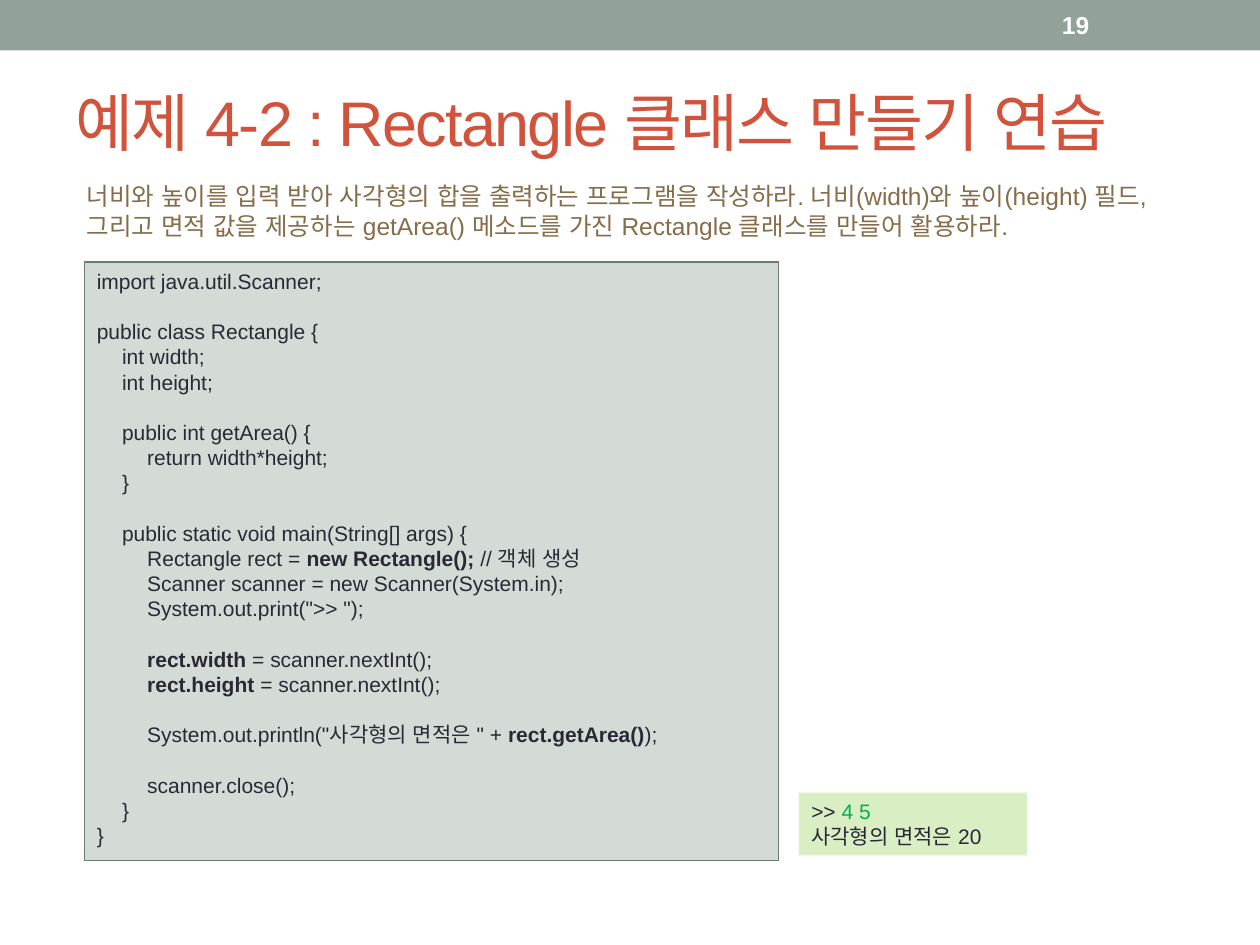
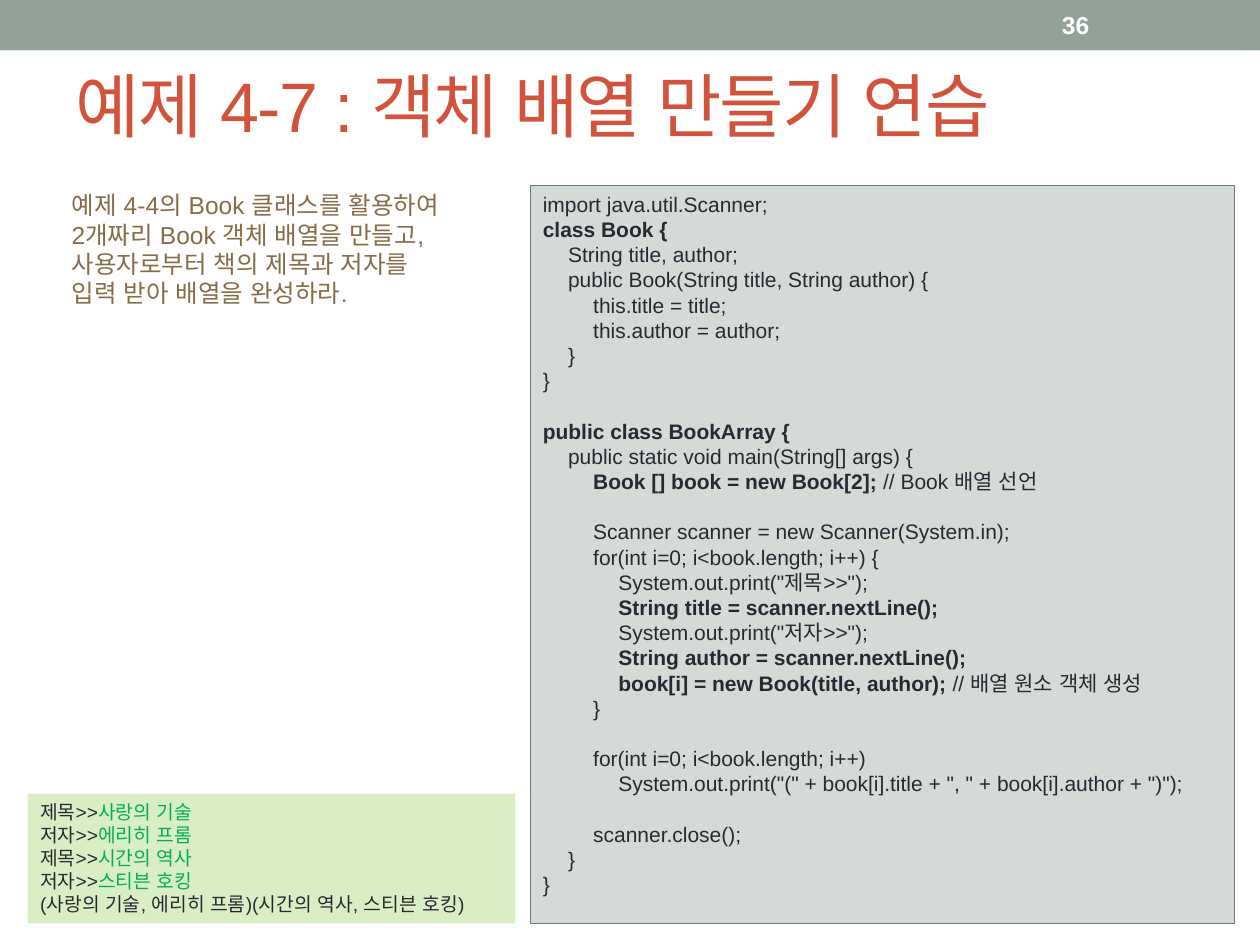
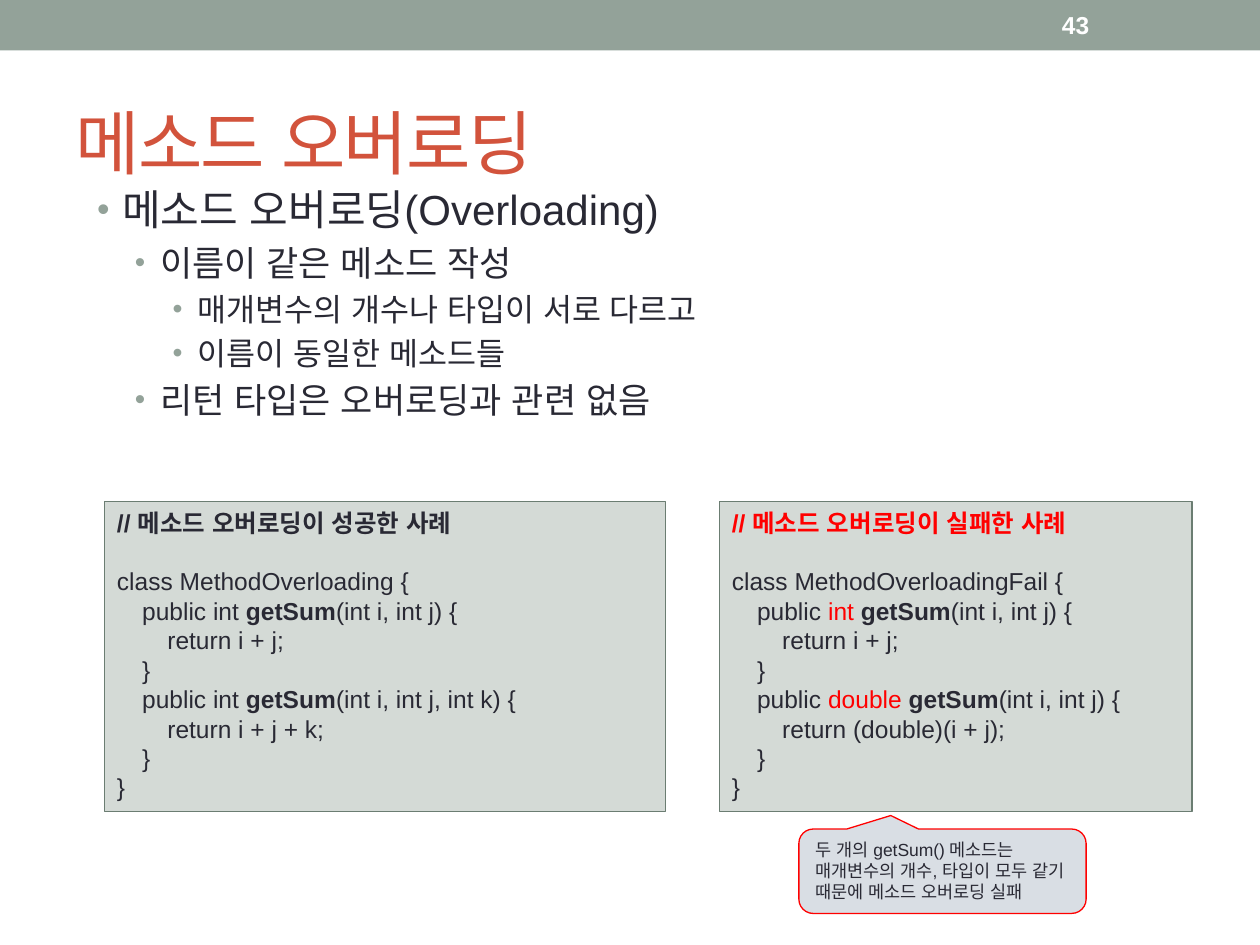
from lxml.etree import SubElement
from pptx import Presentation
from pptx.dml.color import RGBColor
from pptx.enum.lang import MSO_LANGUAGE_ID
from pptx.enum.shapes import MSO_SHAPE
from pptx.enum.text import MSO_ANCHOR, MSO_AUTO_SIZE, PP_ALIGN
from pptx.oxml.ns import qn
from pptx.util import Inches, Pt

COLORS = {
    "band": "93A299",
    "title": "D2533C",
    "white": "FFFFFF",
    "task": "866C49",
    "text": "292934",
    "code_fill": "D4DAD6",
    "code_line": "6B7D72",
    "output_fill": "DAEEC4",
    "input": "00B050",
    "red": "FF0000",
    "note_fill": "D9DEE4",
}
FONT = "Arial"
TAB_STEP = 0.2
TITLE_AND_CONTENT, TITLE_ONLY = 1, 5

# In the texts, |...| marks bold and ~...~ marks the accent colour.
RECTANGLE_CODE = """import java.util.Scanner;

public class Rectangle {
\tint width;
\tint height;

\tpublic int getArea() {
\t\treturn width*height;
\t}

\tpublic static void main(String[] args) {
\t\tRectangle rect = |new Rectangle();| // 객체 생성
\t\tScanner scanner = new Scanner(System.in);
\t\tSystem.out.print(">> ");

\t\t|rect.width| = scanner.nextInt();
\t\t|rect.height| = scanner.nextInt();

\t\tSystem.out.println("사각형의 면적은 " + |rect.getArea()|);

\t\tscanner.close();
\t}
}"""

BOOK_CODE = """import java.util.Scanner;
|class Book {|
\tString title, author;
\tpublic Book(String title, String author) {
\t\tthis.title = title;
\t\tthis.author = author;
\t}
}

|public class BookArray {|
\tpublic static void main(String[] args) {
\t\t|Book [] book = new Book[2]; |// Book 배열 선언

\t\tScanner scanner = new Scanner(System.in);
\t\tfor(int i=0; i<book.length; i++) {
\t\t\tSystem.out.print("제목>>");
\t\t\t|String title = scanner.nextLine();|
\t\t\tSystem.out.print("저자>>");
\t\t\t|String author = scanner.nextLine();|
\t\t\t|book[i] = new Book(title, author); |// 배열 원소 객체 생성
\t\t}

\t\tfor(int i=0; i<book.length; i++)
\t\t\tSystem.out.print("(" + book[i].title + ", " + book[i].author + ")");

\t\tscanner.close();
\t}
}"""

OVERLOADING_CODE = """|// 메소드 오버로딩이 성공한 사례|

class MethodOverloading {
\tpublic int |getSum|(int i, int j) {
\t\treturn i + j;
\t}
\tpublic int |getSum|(int i, int j, int k) {
\t\treturn i + j + k;
\t}
}"""

FAILING_CODE = """|~// 메소드 오버로딩이 실패한 사례~|

class MethodOverloadingFail {
\tpublic ~int ~|getSum|(int i, int j) {
\t\treturn i + j;
\t}
\tpublic ~double ~|getSum|(int i, int j) {
\t\treturn (double)(i + j);
\t}
}"""


def rgb(name):
    return RGBColor.from_string(COLORS[name])


class Deck:
    """Holds the style and the slide being built."""

    def __init__(self):
        self.presentation = Presentation()
        self.presentation.slide_width = Inches(10)
        self.presentation.slide_height = Inches(7.5)
        self.slide = None

    # Slide frame: band, number and title
    def add_slide(self, title, number, title_top, title_size=40, layout=TITLE_ONLY):
        layouts = self.presentation.slide_layouts
        self.slide = self.presentation.slides.add_slide(layouts[layout])
        self.box((0, 0, 10, 0.4), "band")
        number_frame = self.text((8.33, 0.02, 1.17, 0.36), f"|{number}|", 14, "white")
        number_frame.vertical_anchor = MSO_ANCHOR.MIDDLE

        placeholder = self.slide.shapes.title
        self.place(placeholder, (0.5, title_top, 9, 1.08))
        frame = placeholder.text_frame
        self.fill_text(frame, title, title_size, "title")
        frame.vertical_anchor = MSO_ANCHOR.MIDDLE
        for run in frame.paragraphs[0].runs:
            run.font._element.set("spc", "-100")

    def place(self, shape, area):
        shape.left, shape.top, shape.width, shape.height = map(Inches, area)

    # Text
    def style_run(self, run, size, color, bold=False):
        run.font.name = FONT
        run.font.size = Pt(size)
        run.font.bold = bold
        run.font.color.rgb = rgb(color)
        run.font.language_id = MSO_LANGUAGE_ID.KOREAN

    def add_runs(self, paragraph, line, size, color, accent):
        for bold_index, part in enumerate(line.split("|")):
            for accent_index, piece in enumerate(part.split("~")):
                if piece:
                    run = paragraph.add_run()
                    run.text = piece
                    run_color = accent if accent_index % 2 else color
                    self.style_run(run, size, run_color, bold_index % 2 == 1)
        if not line:
            SubElement(paragraph._p, qn("a:endParaRPr"), sz=str(size * 100))

    def fill_text(self, frame, text, size, color="text", accent="red"):
        frame.word_wrap = True
        frame.auto_size = MSO_AUTO_SIZE.NONE
        frame.vertical_anchor = MSO_ANCHOR.TOP
        for index, line in enumerate(text.split("\n")):
            paragraph = frame.add_paragraph() if index else frame.paragraphs[0]
            paragraph.alignment = PP_ALIGN.LEFT
            if "\t" in line:
                self.set_tabs(paragraph)
            self.add_runs(paragraph, line, size, color, accent)

    def set_tabs(self, paragraph):
        tabs = SubElement(paragraph._p.get_or_add_pPr(), qn("a:tabLst"))
        for step in range(1, 4):
            position = Inches(step * TAB_STEP)
            SubElement(tabs, qn("a:tab"), pos=str(position), algn="l")

    def text(self, area, text, size, color):
        frame = self.slide.shapes.add_textbox(*map(Inches, area)).text_frame
        self.fill_text(frame, text, size, color)
        return frame

    def bullets(self, area, items):
        placeholder = self.slide.placeholders[1]
        self.place(placeholder, area)
        frame = placeholder.text_frame
        frame.auto_size = MSO_AUTO_SIZE.NONE
        for index, (level, text) in enumerate(items):
            size = (24, 20, 18)[level]
            paragraph = frame.add_paragraph() if index else frame.paragraphs[0]
            paragraph.text = text
            paragraph.level = level
            paragraph.space_before = Pt(size * 0.2 if index else 0)
            properties = paragraph._p.get_or_add_pPr()
            properties.set("marL", str(Inches(0.2 + 0.3 * level)))
            properties.set("indent", str(Inches(-0.2)))
            bullet_color = SubElement(properties, qn("a:buClr"))
            SubElement(bullet_color, qn("a:srgbClr"), val=COLORS["band"])
            percent = (85, 85, 90)[level]
            SubElement(properties, qn("a:buSzPct"), val=str(percent * 1000))
            SubElement(properties, qn("a:buFont"), typeface=FONT)
            SubElement(properties, qn("a:buChar"), char="•")
            self.style_run(paragraph.runs[0], size, "text")

    # Boxes
    def box(self, area, fill, line=None, preset=MSO_SHAPE.RECTANGLE):
        shape = self.slide.shapes.add_shape(preset, *map(Inches, area))
        shape.shadow.inherit = False
        shape.fill.solid()
        shape.fill.fore_color.rgb = rgb(fill)
        if line:
            shape.line.color.rgb = rgb(line)
            shape.line.width = Pt(0.75)
        else:
            shape.line.fill.background()
        return shape

    def code(self, area, text, size=12):
        shape = self.box(area, "code_fill", "code_line")
        self.fill_text(shape.text_frame, text, size)

    def output(self, area, text, size):
        shape = self.box(area, "output_fill")
        self.fill_text(shape.text_frame, text, size, accent="input")

    def callout(self, area, text, adjustments):
        shape = self.box(area, "note_fill", "red", MSO_SHAPE.ROUNDED_RECTANGULAR_CALLOUT)
        for index, value in enumerate(adjustments):
            shape.adjustments[index] = value
        self.fill_text(shape.text_frame, text, 10)


def main():
    deck = Deck()

    # Rectangle class
    deck.add_slide("예제 4-2 : Rectangle 클래스 만들기 연습", 19, 0.42, title_size=36)
    deck.text(
        (0.59, 1.39, 8.98, 0.57),
        "너비와 높이를 입력 받아 사각형의 합을 출력하는 프로그램을 작성하라. "
        "너비(width)와 높이(height) 필드, 그리고 면적 값을 제공하는 getArea() "
        "메소드를 가진 Rectangle 클래스를 만들어 활용하라.",
        14, "task")
    deck.code((0.67, 2.08, 5.51, 4.75), RECTANGLE_CODE)
    deck.output((6.34, 6.29, 1.81, 0.5), ">> ~4 5~\n사각형의 면적은 20", 12)

    # Array of objects
    deck.add_slide("예제 4-7 : 객체 배열 만들기 연습", 36, 0.29)
    deck.text(
        (0.47, 1.46, 3.62, 1.04),
        "예제 4-4의 Book 클래스를 활용하여\n2개짜리 Book 객체 배열을 만들고,\n"
        "사용자로부터 책의 제목과 저자를\n입력 받아 배열을 완성하라.",
        14, "task")
    deck.code((4.21, 1.47, 5.59, 5.86), BOOK_CODE)
    deck.output(
        (0.22, 6.3, 3.87, 1.03),
        "제목>>~사랑의 기술~\n저자>>~에리히 프롬~\n"
        "제목>>~시간의 역사~\n저자>>~스티븐 호킹~\n"
        "(사랑의 기술, 에리히 프롬)(시간의 역사, 스티븐 호킹)",
        11)

    # Method overloading
    deck.add_slide("메소드 오버로딩", 43, 0.58, layout=TITLE_AND_CONTENT)
    deck.bullets((0.67, 1.41, 8.92, 2.58), [
        (0, "메소드 오버로딩(Overloading)"),
        (1, "이름이 같은 메소드 작성"),
        (2, "매개변수의 개수나 타입이 서로 다르고"),
        (2, "이름이 동일한 메소드들"),
        (1, "리턴 타입은 오버로딩과 관련 없음"),
    ])
    deck.code((0.83, 3.98, 4.45, 2.46), OVERLOADING_CODE, 14)
    deck.code((5.71, 3.98, 3.75, 2.46), FAILING_CODE, 14)
    deck.callout(
        (6.34, 6.58, 2.28, 0.67),
        "두 개의 getSum() 메소드는 매개변수의 개수, 타입이 모두 "
        "같기 때문에 메소드 오버로딩 실패",
        (-0.18, -0.66, 0.17))

    deck.presentation.save("out.pptx")


if __name__ == "__main__":
    main()
